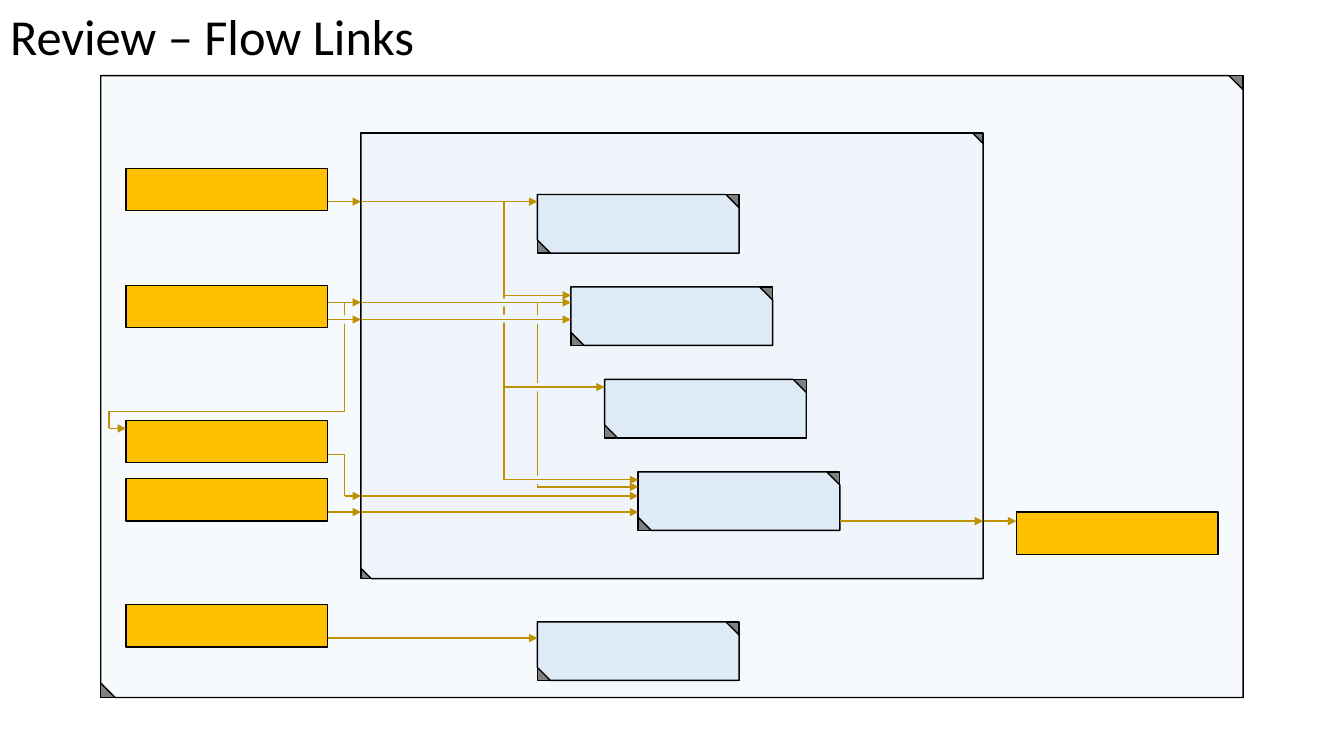
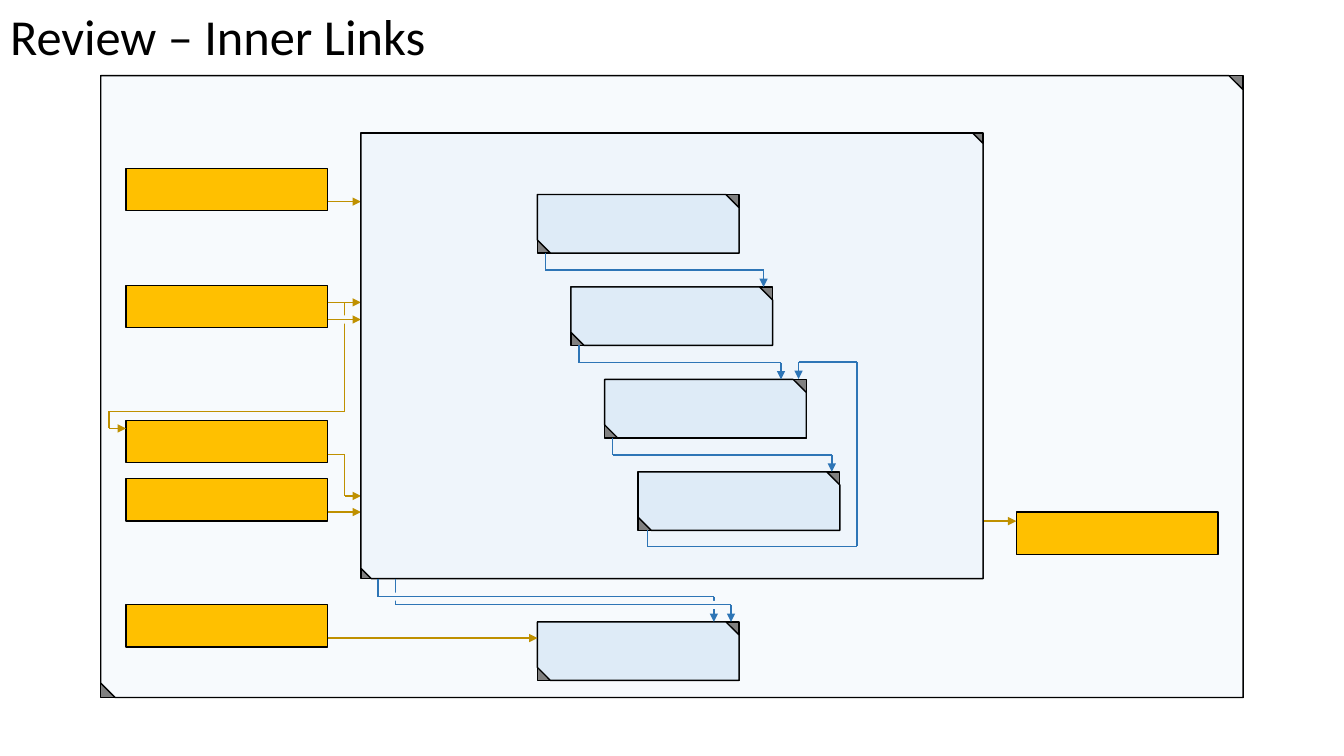
import pptx
import pptx.util
import pptx.dml.color
import pptx.enum.shapes
import pptx.enum.text
import pptx.oxml
import pptx.oxml.ns

Inches = pptx.util.Inches
Pt = pptx.util.Pt
RGBColor = pptx.dml.color.RGBColor
SHAPE = pptx.enum.shapes.MSO_SHAPE

BLACK = RGBColor(0x00, 0x00, 0x00)
GREY = RGBColor(0x80, 0x80, 0x80)
OUTER_FILL = RGBColor(0xF7, 0xFA, 0xFD)
INNER_FILL = RGBColor(0xEF, 0xF5, 0xFB)
STEP_FILL = RGBColor(0xDE, 0xEB, 0xF7)
AMBER = RGBColor(0xFF, 0xC0, 0x00)
FLOW = RGBColor(0xBF, 0x90, 0x00)
INNER_LINK = RGBColor(0x2E, 0x75, 0xB6)

FONT = "Calibri"
OUTER = (1, 0.75, 11.33, 6.17)
INNER = (3.58, 1.32, 6.17, 4.42)
BOX_W, ITEM_H, STEP_H = 2, 0.42, 0.58
STEPS = [(1.75 + i / 3, 0.61 + 0.917 * i) for i in range(4)]
GAP = 0.08


def add_box(shapes, box, fill, kind=SHAPE.RECTANGLE, line=BLACK):
    """Add a flat filled shape with an optional outline."""
    sp = shapes.add_shape(kind, *(Inches(v) for v in box))
    sp.shadow.inherit = False
    sp.fill.solid()
    sp.fill.fore_color.rgb = fill
    if line is None:
        sp.line.fill.background()
    else:
        sp.line.color.rgb = line
        sp.line.width = Pt(1)
    return sp


def add_panel(s, box, fill, snip):
    """Add a box with two snipped corners over a grey backing."""
    group = s.shapes.add_group_shape()
    add_box(group.shapes, box, GREY)
    sp = add_box(group.shapes, box, fill, SHAPE.SNIP_2_DIAG_RECTANGLE)
    sp.adjustments[0] = 0
    sp.adjustments[1] = snip


def add_step(s, x, y):
    """Add one pale blue step box."""
    add_panel(s, (x, y, BOX_W, STEP_H), STEP_FILL, 0.223)


def add_gap(s, box, x, y, fill):
    """Blank out a crossing centred on a point within the box."""
    corner = (box[0] + x - GAP / 2, box[1] + y - GAP / 2, GAP, GAP)
    add_box(s.shapes, corner, fill, line=None)


def add_route(s, box, color, points, arrow=True):
    """Join points within the box by lines, the last with an arrowhead."""
    for i, (a, b) in enumerate(zip(points, points[1:])):
        ends = (box[0] + a[0], box[1] + a[1], box[0] + b[0], box[1] + b[1])
        c = s.shapes.add_connector(
            pptx.enum.shapes.MSO_CONNECTOR.STRAIGHT, *(Inches(v) for v in ends))
        c.line.color.rgb = color
        c.line.width = Pt(1)
        spPr = c.element.spPr
        if arrow and i == len(points) - 2:
            ln = spPr.find(pptx.oxml.ns.qn("a:ln"))
            tail = pptx.oxml.parse_xml(
                '<a:tailEnd %s type="triangle"/>' % pptx.oxml.ns.nsdecls("a"))
            ln.append(tail)
        spPr.append(pptx.oxml.parse_xml(
            "<a:effectLst %s/>" % pptx.oxml.ns.nsdecls("a")))


def add_across(s, box, y, x1, x2):
    """Add a horizontal flow arrow within the box."""
    add_route(s, box, FLOW, [(x1, y), (x2, y)])


def draw_outer(s, box):
    """Draw the outer panel, its items and the flows between them."""
    x, y = box[:2]
    add_panel(s, box, OUTER_FILL, 0.023)
    items = [(0.25, top) for top in (0.92, 2.08, 3.42, 4, 5.25)]
    for dx, dy in items + [(9.08, 4.33)]:
        add_box(s.shapes, (x + dx, y + dy, BOX_W, ITEM_H), AMBER)
    add_step(s, x + 4.33, y + 5.42)
    add_route(s, box, FLOW, [(2.42, 2.25), (2.42, 3.33), (0.08, 3.33),
                             (0.08, 3.5), (0.25, 3.5)])
    add_gap(s, box, 2.42, 2.42, OUTER_FILL)
    add_route(s, box, FLOW,
              [(2.25, 3.76), (2.42, 3.76), (2.42, 4.17), (2.58, 4.17)])
    for dy in (1.25, 2.25, 2.42, 4.33):
        add_across(s, box, dy, 2.25, 2.58)
    add_across(s, box, 5.58, 2.25, 4.33)
    add_across(s, box, 4.42, 8.75, 9.08)


def draw_inner(s, box):
    """Draw the inner panel and its staircase of steps."""
    add_panel(s, box, INNER_FILL, 0.023)
    for dx, dy in STEPS:
        add_step(s, box[0] + dx, box[1] + dy)


def draw_flow_links(s, box):
    """Draw the flows that run inside the inner panel."""
    trunk, branch = 1.42, 1.75
    add_route(s, box, FLOW, [(trunk, 0.68), (trunk, 3.44)], arrow=False)
    add_route(s, box, FLOW, [(branch, 1.68), (branch, 3.51), (2.75, 3.51)])
    crossings = [(trunk, 1.68), (trunk, 1.84),
                 (branch, 1.85), (branch, 2.52), (branch, 3.44)]
    for dx, dy in crossings:
        add_gap(s, box, dx, dy, INNER_FILL)
    flows = [(0.68, 0, 0), (1.61, trunk, 1), (1.68, 0, 1), (1.85, 0, 1),
             (2.52, trunk, 2), (3.44, trunk, 3), (3.6, 0, 3), (3.76, 0, 3)]
    for dy, start, step in flows:
        add_across(s, box, dy, start, STEPS[step][0])
    add_across(s, box, 3.85, STEPS[3][0] + BOX_W, box[2])


def draw_step_links(s, box):
    """Draw the links from step to step and the loop back."""
    for (x, y), (nx, ny), drop in zip(STEPS, STEPS[1:], (1.91, 1.75, 1.92)):
        turn = y + 0.75
        add_route(s, box, INNER_LINK, [(x + 0.08, y + STEP_H), (x + 0.08, turn),
                                       (nx + drop, turn), (nx + drop, ny)])
    add_route(s, box, INNER_LINK, [(2.84, 3.94), (2.84, 4.1), (4.92, 4.1),
                                   (4.92, 2.27), (4.34, 2.27), (4.34, 2.44)])


def draw_exit_links(s, box):
    """Draw the two links from the inner panel to the last step."""
    add_route(s, box, INNER_LINK, [(6.08, 5.17), (6.08, 5.42)])
    add_gap(s, box, 6.08, 5.25, OUTER_FILL)
    add_route(s, box, INNER_LINK,
              [(2.92, 4.99), (2.92, 5.25), (6.25, 5.25), (6.25, 5.42)])
    add_gap(s, box, 2.92, 5.17, OUTER_FILL)
    add_route(s, box, INNER_LINK,
              [(2.75, 4.99), (2.75, 5.17), (6.08, 5.17)], arrow=False)


def add_review_slide(prs, title):
    """Add a titled slide with the shared diagram."""
    s = prs.slides.add_slide(prs.slide_layouts[5])
    sp = s.shapes.title
    sp.left, sp.top = Inches(0), Inches(0)
    sp.width, sp.height = Inches(8.67), Inches(0.71)
    tf = sp.text_frame
    tf.text = title
    tf.word_wrap = True
    tf.vertical_anchor = pptx.enum.text.MSO_ANCHOR.TOP
    p = tf.paragraphs[0]
    p.alignment = pptx.enum.text.PP_ALIGN.LEFT
    p.font.name = FONT
    p.font.size = Pt(36)
    p.font.color.rgb = BLACK
    draw_outer(s, OUTER)
    draw_inner(s, INNER)
    return s


def main():
    """Build and save the presentation."""
    prs = pptx.Presentation()
    prs.slide_width, prs.slide_height = Inches(13.33), Inches(7.5)
    s = add_review_slide(prs, "Review – Flow Links")
    draw_flow_links(s, INNER)
    s = add_review_slide(prs, "Review – Inner Links")
    draw_step_links(s, INNER)
    draw_exit_links(s, OUTER)
    prs.save("out.pptx")


if __name__ == "__main__":
    main()
